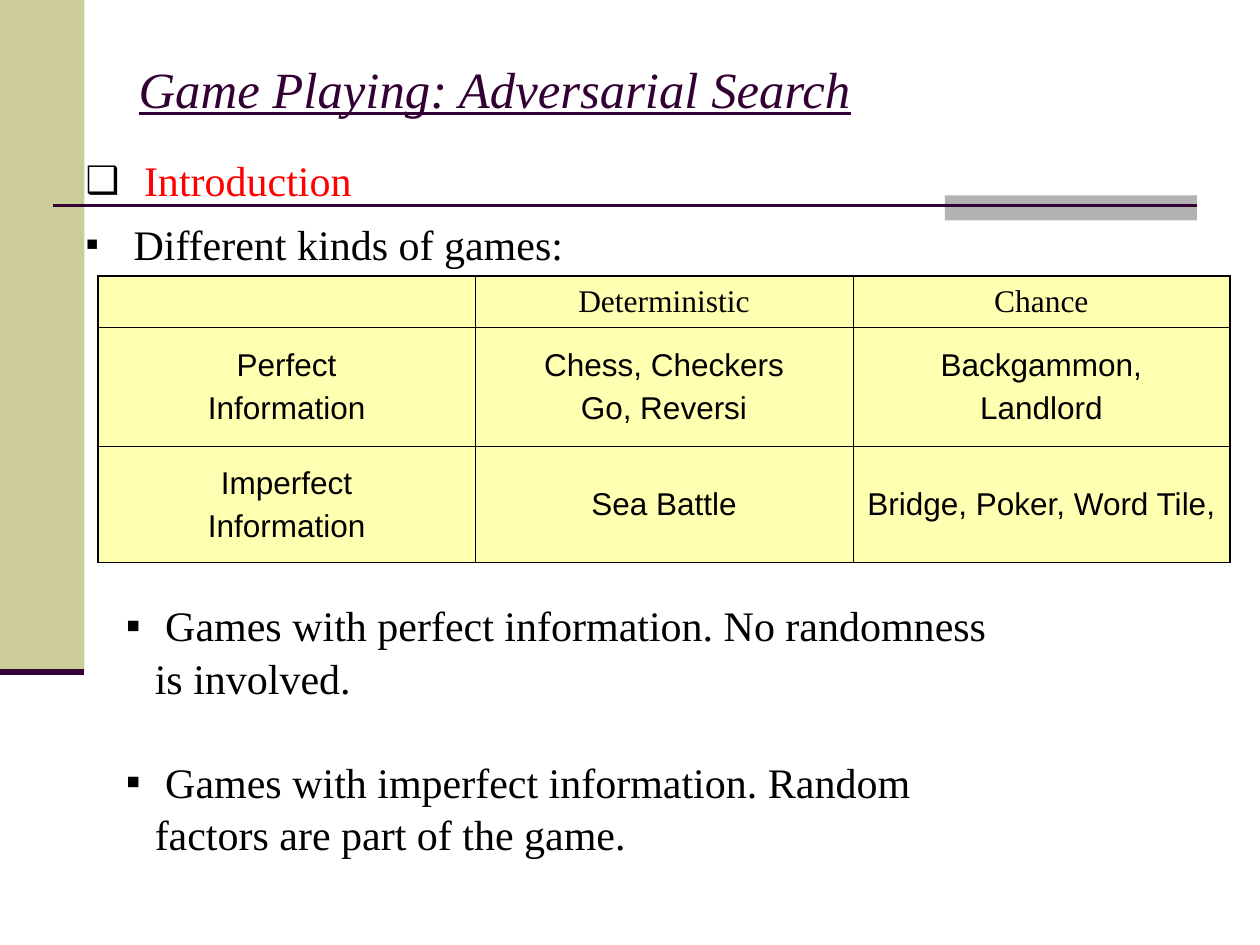
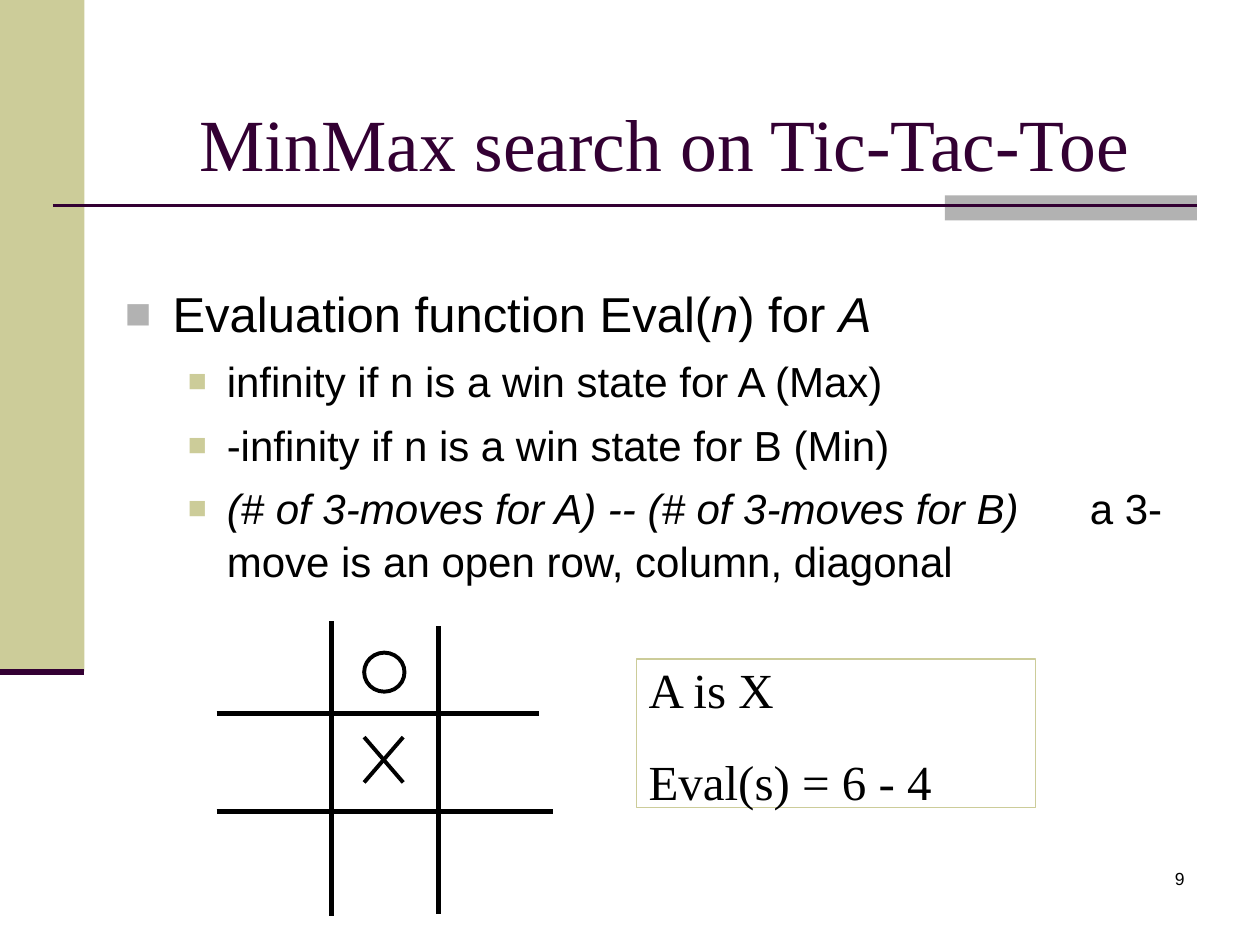
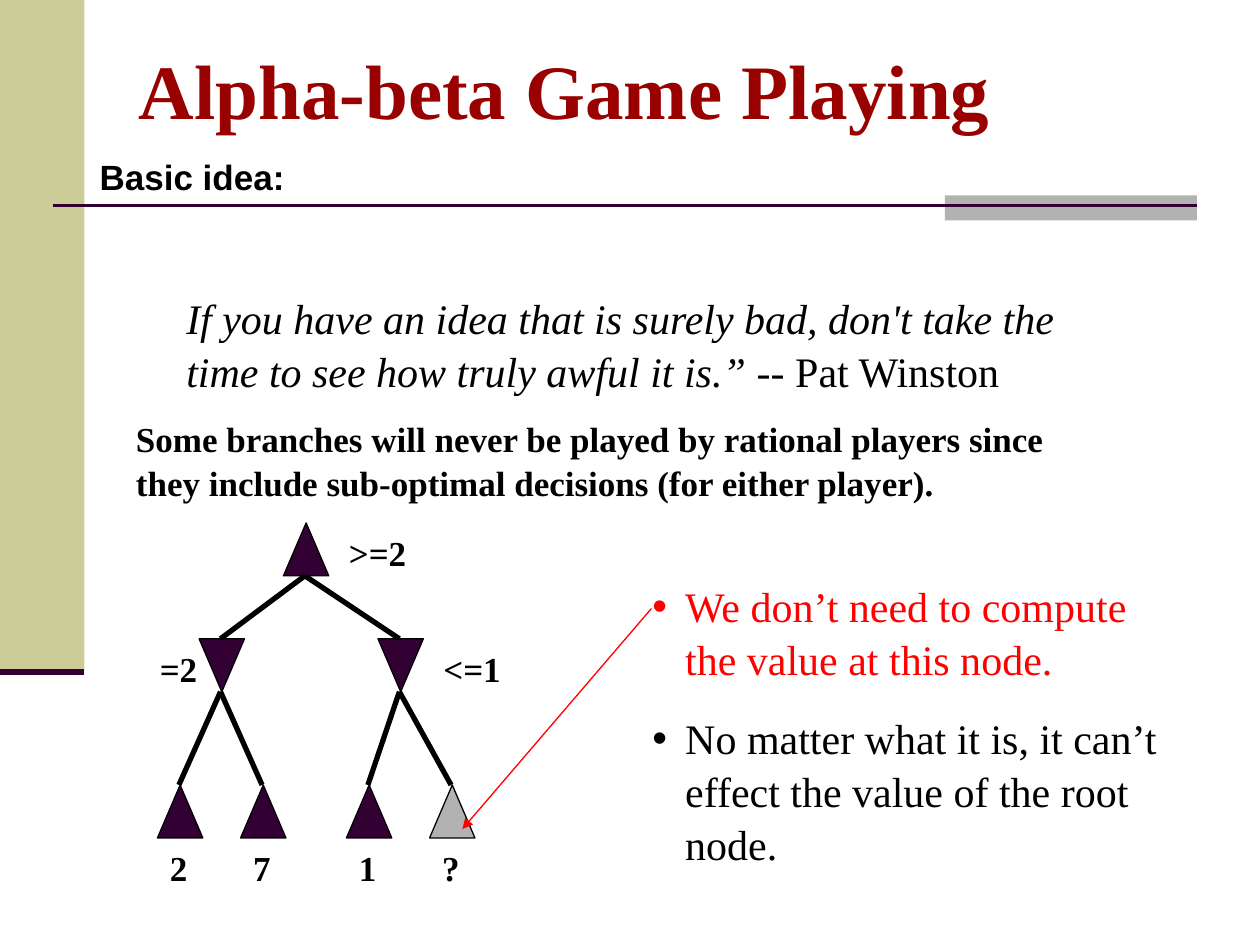
from dataclasses import dataclass

from lxml import etree
from pptx import Presentation
from pptx.dml.color import RGBColor
from pptx.enum.shapes import MSO_CONNECTOR, MSO_SHAPE
from pptx.enum.text import MSO_ANCHOR, MSO_AUTO_SIZE, PP_ALIGN
from pptx.oxml.ns import qn
from pptx.util import Inches, Pt

RECT, OVAL, TRIANGLE = MSO_SHAPE.RECTANGLE, MSO_SHAPE.OVAL, MSO_SHAPE.ISOSCELES_TRIANGLE
STRAIGHT = MSO_CONNECTOR.STRAIGHT
LEFT, CENTER, RIGHT = PP_ALIGN.LEFT, PP_ALIGN.CENTER, PP_ALIGN.RIGHT
MIDDLE, TOP = MSO_ANCHOR.MIDDLE, MSO_ANCHOR.TOP


@dataclass(frozen=True)
class Theme:
    band: str = "CCCC99"
    grey: str = "B2B2B2"
    plum: str = "330033"
    ink: str = "000000"
    red: str = "FF0000"
    dark_red: str = "990000"
    cell: str = "FFFFB1"
    serif: str = "Times New Roman"
    sans: str = "Arial"
    large: int = 28
    text: int = 24
    label: int = 20
    small: int = 18
    number: int = 10
    spacing: float = 1.05


THEME = Theme()


@dataclass(frozen=True)
class Style:
    """Look of one paragraph; margin and hang are inches, bullet is (sign, colour, percent)."""
    size: float = THEME.text
    font: str = THEME.serif
    color: str = THEME.ink
    bold: bool = False
    italic: bool = False
    underline: bool = False
    align: int = LEFT
    before: float = 0
    margin: float = 0
    hang: float = 0
    bullet: tuple = ()
    level: int = 0
    tabs: int = 0
    spacing: float = THEME.spacing


# Content: a paragraph is (text, style) and a text is a string or a list of (string, italic).
SQUARE = ("▪", THEME.ink, 90)
HEADING = Style(color=THEME.red, margin=0.38, hang=0.38, bullet=("❑", THEME.ink, 90))
KINDS = Style(before=6, margin=0.38, hang=0.38, bullet=SQUARE)
GAME_NOTE = dict(margin=0.5, hang=0.23, bullet=("▪", THEME.ink, 100))
INTRO = [(" Introduction", HEADING), ("Different kinds of games:", KINDS)]
GAME_NOTES = [
    (" Games with perfect information. No randomness is involved.", Style(**GAME_NOTE)),
    (" Games with imperfect information. Random factors are part of the game.",
     Style(before=29, **GAME_NOTE)),
]
GAMES = [
    [[], ["Deterministic"], ["Chance"]],
    [["Perfect", "Information"], ["Chess, Checkers", "Go, Reversi"],
     ["Backgammon,", "Landlord"]],
    [["Imperfect", "Information"], ["Sea Battle"], ["Bridge, Poker, Word Tile,"]],
]
GAME_COLUMNS, GAME_ROWS = [2.99, 3, 2.99], [0.4, 0.95, 0.92]

EVAL_HEAD = Style(THEME.large, THEME.sans, margin=0.38, hang=0.38,
                  bullet=("■", THEME.grey, 90))
EVAL_CASE = Style(font=THEME.sans, before=6, margin=0.81, hang=0.31, level=1, tabs=8,
                  bullet=("■", THEME.band, 75))
EVALUATION = [
    ([("Evaluation function Eval(", False), ("n", True), (") for ", False), ("A", True)],
     EVAL_HEAD),
    ("infinity if n is a win state for A (Max)", EVAL_CASE),
    ("-infinity if n is a win state for B (Min)", EVAL_CASE),
    ([("(# of 3-moves for A) -- (# of 3-moves for B)\t\t", True),
      ("a 3-move is an open row, column, diagonal", False)], EVAL_CASE),
]
SCORE = [("A is X", Style(THEME.large)), ("Eval(s) = 6 - 4", Style(THEME.large, before=17.5))]
BOARD_LINES = [(2.63, 4.93, 2.63, 7.27), (3.48, 4.97, 3.48, 7.25),
               (1.72, 5.66, 4.28, 5.66), (1.72, 6.44, 4.39, 6.44)]
CROSS_LINES = [(2.89, 6.21, 3.2, 5.85), (2.89, 5.85, 3.2, 6.21)]

BOLD = Style(THEME.label, bold=True)
QUOTE = [([("If you have an idea that is surely bad, don't take the time to see how truly "
            "awful it is.”", True), (" -- Pat Winston", False)], Style())]
BRANCHES = [("Some branches will never be played by rational players since", BOLD),
            ("they include sub-optimal decisions (for either player).", BOLD)]
PRUNING = [
    ("We don’t need to compute the value at this node.",
     Style(color=THEME.red, margin=0.26, hang=0.26, bullet=("•", THEME.red, 100))),
    ("No matter what it is, it can’t effect the value of the root node.",
     Style(before=15, margin=0.26, hang=0.26, bullet=("•", THEME.ink, 100))),
]
# Tree node: centre, level, parent, label, label offset from the centre and from the top.
TREE = {
    "root": (2.42, 0, None, ">=2", 0.25, 0),
    "left": (1.75, 1, "root", "=2", -0.58, 0),
    "right": (3.17, 1, "root", "<=1", 0.25, 0),
    "two": (1.42, 2, "left", "2", -0.17, 0.42),
    "seven": (2.08, 2, "left", "7", -0.17, 0.42),
    "one": (2.92, 2, "right", "1", -0.17, 0.42),
    "unknown": (3.58, 2, "right", "?", -0.17, 0.42),
}
LEVEL_TOPS = [4.15, 5.07, 6.23]
NODE_WIDTH, NODE_HEIGHT = 0.36, 0.42


def rgb(color):
    return RGBColor.from_string(color)


def add_element(parent, tag, **attributes):
    child = etree.SubElement(parent, qn(tag))
    for key, value in attributes.items():
        child.set(key, str(value))
    return child


def set_indent(para, style):
    """Write margins, bullet and tab stops, in the order the schema asks for."""
    props = para._p.get_or_add_pPr()
    props.set("marL", str(Inches(style.margin)))
    props.set("indent", str(-Inches(style.hang)))
    if style.bullet:
        sign, color, percent = style.bullet
        add_element(add_element(props, "a:buClr"), "a:srgbClr", val=color)
        add_element(props, "a:buSzPct", val=percent * 1000)
        add_element(props, "a:buFont", typeface=THEME.sans)
        add_element(props, "a:buChar", char=sign)
    else:
        add_element(props, "a:buNone")
    if style.tabs:
        stops = add_element(props, "a:tabLst")
        for inch in range(1, style.tabs + 1):
            add_element(stops, "a:tab", pos=Inches(inch), algn="l")


def write(frame, paragraphs, anchor=TOP, wrap=True):
    frame.word_wrap = wrap
    frame.auto_size = MSO_AUTO_SIZE.NONE
    frame.vertical_anchor = anchor
    for index, (text, style) in enumerate(paragraphs):
        para = frame.add_paragraph() if index else frame.paragraphs[0]
        set_indent(para, style)
        para.level = style.level
        para.alignment = style.align
        para.line_spacing = style.spacing
        para.space_before = Pt(style.before)
        font = para.font
        font.size, font.name = Pt(style.size), style.font
        font.bold, font.italic, font.underline = style.bold, style.italic, style.underline
        font.color.rgb = rgb(style.color)
        for words, italic in [(text, style.italic)] if isinstance(text, str) else text:
            span = para.add_run()
            span.text = words
            if italic != style.italic:
                span.font.italic = italic


def place(shape, at):
    shape.left, shape.top, shape.width, shape.height = map(Inches, at)


def add_text(page, at, paragraphs, wrap=True):
    box = page.shapes.add_textbox(*map(Inches, at))
    write(box.text_frame, paragraphs, wrap=wrap)


def add_shape(page, kind, at, fill=None, line=None, width=0.75):
    shape = page.shapes.add_shape(kind, *map(Inches, at))
    shape.shadow.inherit = False
    if fill:
        shape.fill.solid()
        shape.fill.fore_color.rgb = rgb(fill)
    else:
        shape.fill.background()
    if line:
        shape.line.color.rgb = rgb(line)
        shape.line.width = Pt(width)
    else:
        shape.line.fill.background()
    return shape


def add_line(page, ends, color=THEME.ink, width=3, arrow=False):
    line = page.shapes.add_connector(STRAIGHT, *map(Inches, ends))
    line.line.color.rgb = rgb(color)
    line.line.width = Pt(width)
    if arrow:
        add_element(line.line._get_or_add_ln(), "a:tailEnd", type="triangle")
    add_element(line._element.spPr, "a:effectLst")
    return line


def move_to_master(deck, parts):
    tree = deck.slide_master.shapes.element
    for index, part in enumerate(parts):
        part.element.xpath(".//p:cNvPr")[0].set("id", str(100 + index))
        tree.insert(2 + index, part.element)


def decorate(deck, page):
    """Draw the bands and rules once and let every page inherit them."""
    move_to_master(deck, [
        add_shape(page, RECT, (0, 0, 0.67, 5.33), THEME.band),
        add_shape(page, RECT, (7.5, 1.55, 2, 0.2), THEME.grey),
        add_line(page, (0.42, 1.63, 9.5, 1.63), THEME.plum, 1.5),
        add_line(page, (0, 5.33, 0.67, 5.33), THEME.plum, 3.5),
    ])


def add_page(deck, title, title_style, body, body_at, title_at=(1, 0.3, 8.5, 0.77)):
    page = deck.slides.add_slide(deck.slide_layouts[1])
    heading, content = page.placeholders
    place(heading, title_at)
    write(heading.text_frame, [(title, title_style)], MIDDLE)
    place(content, body_at)
    write(content.text_frame, body)
    return page


def set_borders(cell, row, column):
    last_row, last_column = len(GAME_ROWS) - 1, len(GAME_COLUMNS) - 1
    outer = {"L": column == 0, "R": column == last_column,
             "T": row == 0, "B": row == last_row}
    props = cell._tc.get_or_add_tcPr()
    for index, (side, is_outer) in enumerate(outer.items()):
        line = etree.Element(qn(f"a:ln{side}"), w=str(Pt(1.08 if is_outer else 0.45)))
        add_element(add_element(line, "a:solidFill"), "a:srgbClr", val=THEME.ink)
        props.insert(index, line)


def add_games_table(page):
    size = sum(GAME_COLUMNS), sum(GAME_ROWS)
    table = page.shapes.add_table(len(GAME_ROWS), len(GAME_COLUMNS),
                                  *map(Inches, (0.78, 2.19, *size))).table
    for column, width in zip(table.columns, GAME_COLUMNS):
        column.width = Inches(width)
    for row, height in zip(table.rows, GAME_ROWS):
        row.height = Inches(height)
    for r, line in enumerate(GAMES):
        font = THEME.sans if r else THEME.serif
        for c, texts in enumerate(line):
            cell = table.cell(r, c)
            cell.fill.solid()
            cell.fill.fore_color.rgb = rgb(THEME.cell)
            cell.vertical_anchor = MIDDLE
            set_borders(cell, r, c)
            write(cell.text_frame, [
                (text, Style(THEME.small, font, align=CENTER, spacing=1,
                             before=4.5 if index else 0))
                for index, text in enumerate(texts)])


def add_board(page):
    for ends in BOARD_LINES:
        add_line(page, ends)
    for ends in CROSS_LINES:
        add_line(page, ends, width=2.25)
    add_shape(page, OVAL, (2.89, 5.18, 0.32, 0.31), line=THEME.ink, width=2.25)


def add_score(page):
    box = add_shape(page, RECT, (5.05, 5.23, 3.17, 1.18), line=THEME.band)
    box.text_frame.margin_top = box.text_frame.margin_bottom = 0
    write(box.text_frame, SCORE, MIDDLE)


def add_tree(page):
    """Draw maximising nodes upright, minimising ones upside down, and the edges between."""
    for name, (x, level, *_) in TREE.items():
        node = add_shape(page, TRIANGLE,
                         (x - 0.17, LEVEL_TOPS[level], NODE_WIDTH, NODE_HEIGHT),
                         THEME.grey if name == "unknown" else THEME.plum, THEME.ink)
        node.rotation = 180 if level == 1 else 0
    for x, level, parent, label, shift, drop in TREE.values():
        top = LEVEL_TOPS[level]
        if parent:
            parent_x, parent_level, *_ = TREE[parent]
            add_line(page, (x, top, parent_x, LEVEL_TOPS[parent_level] + NODE_HEIGHT))
        width = 0.2 + 0.15 * len(label)
        add_text(page, (x + shift, top + drop, width, 0.44), [(label, BOLD)], wrap=False)


def main():
    deck = Presentation()
    deck.slide_width, deck.slide_height = Inches(10), Inches(7.5)

    games = add_page(deck, "Game Playing: Adversarial Search",
                     Style(29, color=THEME.plum, italic=True, underline=True),
                     INTRO, (0.58, 1.16, 4.42, 1.02))
    decorate(deck, games)
    add_games_table(games)
    add_text(games, (0.63, 4.69, 7.32, 2.5), GAME_NOTES)

    minmax = add_page(deck, "MinMax search on Tic-Tac-Toe", Style(42, color=THEME.plum),
                      EVALUATION, (0.89, 2.18, 8.67, 2.65), (1.48, 0.47, 8.52, 1.28))
    add_board(minmax)
    add_score(minmax)
    add_text(minmax, (7.42, 6.83, 2.08, 0.5),
             [("9", Style(THEME.number, THEME.sans, align=RIGHT))])

    pruning = add_page(deck, "Alpha-beta Game Playing",
                       Style(44, color=THEME.dark_red, bold=True),
                       [("Basic idea:", Style(THEME.label, THEME.sans, bold=True))],
                       (0.69, 1.17, 9, 0.62))
    add_text(pruning, (1.38, 2.25, 7.32, 0.9), QUOTE)
    add_text(pruning, (0.98, 3.25, 7.41, 0.77), BRANCHES, wrap=False)
    add_tree(pruning)
    add_line(pruning, (5.17, 4.83, 3.67, 6.58), THEME.red, 0.75, arrow=True)
    add_text(pruning, (5.08, 4.54, 4.42, 2.31), PRUNING)

    deck.save("out.pptx")


if __name__ == "__main__":
    main()
